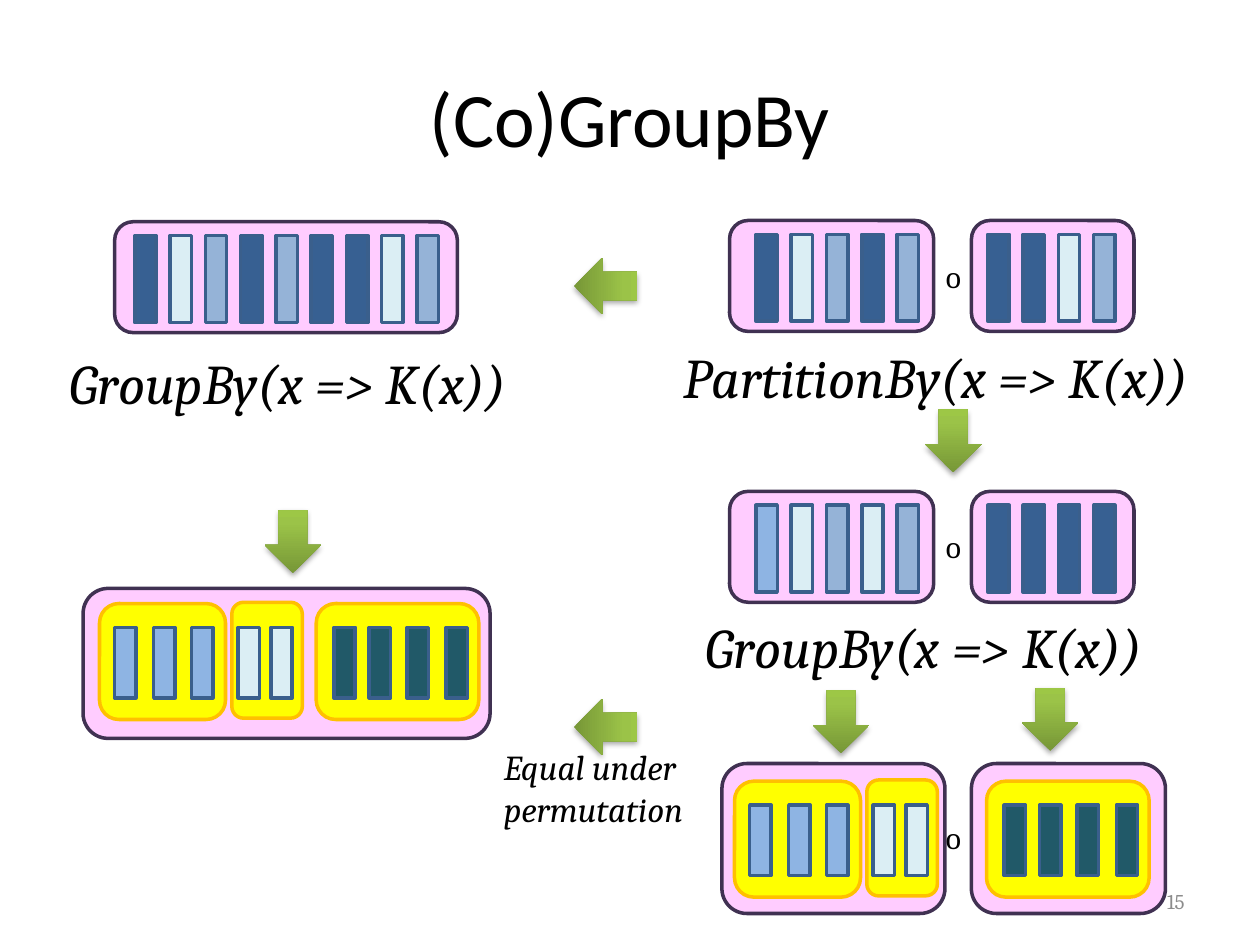
from copy import deepcopy
from dataclasses import dataclass

from lxml import etree
from pptx import Presentation
from pptx.dml.color import RGBColor
from pptx.enum.shapes import MSO_SHAPE
from pptx.enum.text import MSO_ANCHOR, MSO_AUTO_SIZE, PP_ALIGN
from pptx.oxml.ns import qn
from pptx.util import Emu, Pt

EMU_PER_PX = 9144  # 100 px to the inch
BAR_W, BAR_H, BAR_PITCH = 17, 69, 28
GROUP_H, GROUP_BAR_H = 92, 56

COLORS = {
    "black": "000000", "gray": "8C8C8C",
    "pink": "FFCCFF", "purple": "403152",
    "yellow": "FFFF00", "gold": "FFC000",
    "navy": "376092", "pale": "DBEEF4", "steel": "95B3D7",
    "sky": "8EB4E3", "teal": "215968", "bar_line": "3A5F8C",
    "green_dark": "779737", "green": "9BC348", "green_light": "9DC746",
}


@dataclass(frozen=True)
class Partition:
    x: int
    y: int
    w: int
    h: int
    bar_x: int = 0
    bars: tuple[str, ...] = ()


@dataclass(frozen=True)
class GroupKind:
    w: int
    color: str
    bar_offsets: tuple[int, ...]
    rise: int  # from the group's top edge to its bars


@dataclass(frozen=True)
class Arrow:
    x: int
    y: int
    rotation: int = 0


@dataclass(frozen=True)
class Label:
    x: int
    y: int
    w: int
    h: int
    lines: tuple[str, ...]
    size: int
    italic: bool = True


SKY = GroupKind(100, "sky", (12, 43, 73), 19)
PALE = GroupKind(56, "pale", (5, 31), 20)
TEAL = GroupKind(129, "teal", (14, 42, 72, 103), 19)

MIXED = ("navy", "pale", "steel", "navy", "steel",
         "navy", "navy", "pale", "steel")

PARTITIONS = [
    Partition(771, 606, 154, 119),
    Partition(573, 606, 177, 119),
    Partition(66, 467, 323, 119),
    Partition(91, 176, 272, 88, 107, MIXED),
    Partition(771, 175, 129, 88, 784, MIXED[5:]),
    Partition(579, 175, 162, 88, 600, MIXED[:5]),
    Partition(771, 390, 129, 88, 784, ("navy",) * 4),
    Partition(579, 390, 162, 88, 600,
              ("sky", "pale", "steel", "pale", "steel")),
]

# Kind, left edge, top of the bars
GROUPS = [
    (TEAL, 251, 498), (SKY, 79, 498), (PALE, 184, 498),
    (TEAL, 783, 639), (SKY, 583, 639), (PALE, 688, 639),
]

ARROWS = [
    Arrow(210, 405), Arrow(734, 325), Arrow(811, 546), Arrow(645, 548),
    Arrow(458, 202, 90), Arrow(458, 552, 90),
]

LABELS = [
    Label(45, 272, 384, 64, ("GroupBy(x => K(x))",), 32),
    Label(533, 267, 437, 64, ("PartitionBy(x => K(x))",), 32),
    Label(550, 481, 384, 64, ("GroupBy(x => K(x))",), 32),
    Label(390, 587, 167, 77, ("Equal under", "permutation"), 20),
    *(Label(741, y, 34, 40, ("o",), 18, False) for y in (199, 413, 644)),
]


def px(n: int) -> Emu:
    return Emu(n * EMU_PER_PX)


def rgb(name: str) -> RGBColor:
    return RGBColor.from_string(COLORS[name])


def add_box(s, kind, x: int, y: int, w: int, h: int, fill: str, line: str):
    sp = s.shapes.add_shape(kind, px(x), px(y), px(w), px(h))
    sp.shadow.inherit = False
    sp.fill.solid()
    sp.fill.fore_color.rgb = rgb(fill)
    sp.line.color.rgb = rgb(line)
    sp.line.width = Pt(2)
    return sp


def add_bar(s, x: int, y: int, h: int, color: str) -> None:
    add_box(s, MSO_SHAPE.RECTANGLE, x, y, BAR_W, h, color, "bar_line")


def add_partition(s, part: Partition) -> None:
    add_box(s, MSO_SHAPE.ROUNDED_RECTANGLE, part.x, part.y, part.w, part.h,
            "pink", "purple")
    for i, color in enumerate(part.bars):
        add_bar(s, part.bar_x + i * BAR_PITCH, part.y + 11, BAR_H, color)


def add_group(s, kind: GroupKind, x: int, bar_y: int) -> None:
    add_box(s, MSO_SHAPE.ROUNDED_RECTANGLE, x, bar_y - kind.rise, kind.w,
            GROUP_H, "yellow", "gold")
    for offset in kind.bar_offsets:
        add_bar(s, x + offset, bar_y, GROUP_BAR_H, kind.color)


def add_arrow(s, arrow: Arrow) -> None:
    sp = s.shapes.add_shape(MSO_SHAPE.DOWN_ARROW, px(arrow.x), px(arrow.y),
                            px(45), px(50))
    sp.rotation = arrow.rotation
    sp.line.fill.background()

    # Three-stop gradient, dark at the tip
    sp.fill.gradient()
    sp.fill.gradient_angle = 90
    gs_list = sp._element.spPr.find(".//" + qn("a:gsLst"))
    gs_list.append(deepcopy(gs_list[-1]))
    stops = ((0, "green_dark"), (0.8, "green"), (1, "green_light"))
    for stop, (position, color) in zip(sp.fill.gradient_stops, stops):
        stop.position = position
        stop.color.rgb = rgb(color)

    # Soft shadow below
    sp.shadow.inherit = False
    effects = sp._element.spPr.find(qn("a:effectLst"))
    shadow = etree.SubElement(effects, qn("a:outerShdw"), blurRad="40000",
                              dist="23000", dir="5400000", rotWithShape="0")
    color = etree.SubElement(shadow, qn("a:srgbClr"), val=COLORS["black"])
    etree.SubElement(color, qn("a:alpha"), val="35000")


def add_run(p, text: str, size: int, color: str = "black",
            font: str = "Cambria", italic: bool = False) -> None:
    r = p.add_run()
    r.text = text
    r.font.name = font
    r.font.size = Pt(size)
    r.font.italic = italic
    r.font.color.rgb = rgb(color)


def add_label(s, label: Label) -> None:
    tf = s.shapes.add_textbox(px(label.x), px(label.y), px(label.w),
                              px(label.h)).text_frame
    tf.word_wrap = False
    tf.auto_size = MSO_AUTO_SIZE.SHAPE_TO_FIT_TEXT
    for i, line in enumerate(label.lines):
        p = tf.add_paragraph() if i else tf.paragraphs[0]
        add_run(p, line, label.size, italic=label.italic)


def main() -> None:
    prs = Presentation()
    prs.slide_width, prs.slide_height = px(1000), px(750)
    s = prs.slides.add_slide(prs.slide_layouts[5])

    # Title
    title = s.shapes.title
    title.left, title.top, title.width, title.height = map(
        px, (50, 30, 900, 125))
    title.text_frame.vertical_anchor = MSO_ANCHOR.MIDDLE
    p = title.text_frame.paragraphs[0]
    p.alignment = PP_ALIGN.CENTER
    add_run(p, "(Co)GroupBy", 44, font="Calibri")

    # Diagram
    for part in PARTITIONS:
        add_partition(s, part)
    for kind, x, bar_y in GROUPS:
        add_group(s, kind, x, bar_y)
    for arrow in ARROWS:
        add_arrow(s, arrow)
    for label in LABELS:
        add_label(s, label)

    # Slide number
    tf = s.shapes.add_textbox(px(717), px(695), px(233), px(40)).text_frame
    tf.word_wrap = True
    tf.vertical_anchor = MSO_ANCHOR.MIDDLE
    p = tf.paragraphs[0]
    p.alignment = PP_ALIGN.RIGHT
    add_run(p, "15", 12, "gray")

    prs.save("out.pptx")


if __name__ == "__main__":
    main()
